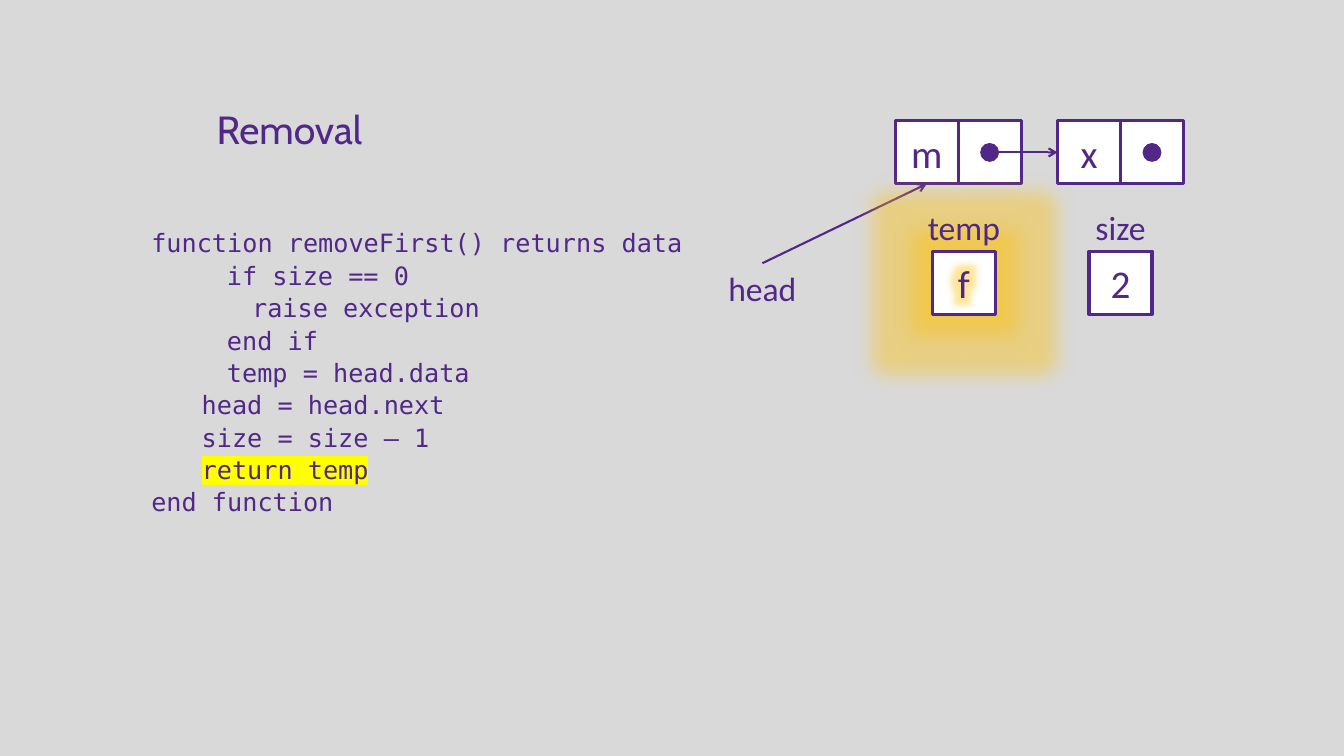
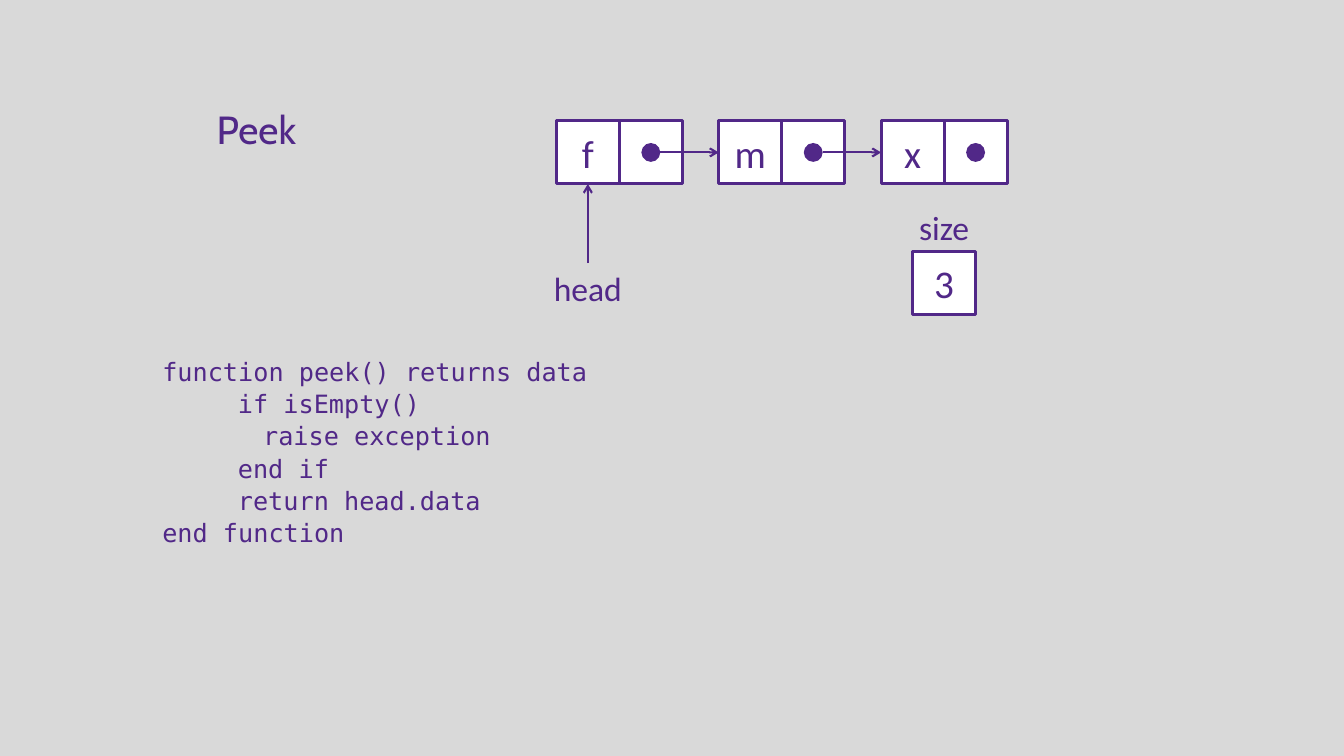
from lxml.etree import SubElement
from pptx import Presentation
from pptx.dml.color import RGBColor
from pptx.enum.shapes import MSO_CONNECTOR as Connector, MSO_SHAPE as Shape
from pptx.enum.text import MSO_ANCHOR as Anchor, MSO_AUTO_SIZE as AutoSize, PP_ALIGN as Align
from pptx.oxml.ns import qn
from pptx.util import Pt

# Shared style
INK, PAPER, WHITE, GOLD, MARKER = "512888", "D9D9D9", "FFFFFF", "FFC000", "FFFF00"
TITLE = {"name": "Cabin", "size": Pt(28)}
VALUE = {"name": "Calibri", "size": Pt(28)}
LABEL = {"name": "Calibri", "size": Pt(24)}
CODE = {"name": "DejaVu Sans Mono", "size": Pt(18)}

# Shared measures in points
CELL, DOT, NODE_GAP = 45, 13.5, 26
NODE_PITCH = 2 * CELL + NODE_GAP
LIST_TOP, LABEL_TOP, VARIABLE_TOP, HEAD_TOP = 86.4, 144, 179.4, 188
CODE_MARGIN, CODE_STEPS = 35.5, (0, 36, 54, 72)
GLOW = 28

REMOVE_CODE = [
    (0, "function removeFirst() returns data"),
    (2, "if size == 0"),
    (3, "raise exception"),
    (2, "end if"),
    (2, "temp = head.data"),
    (1, "head = head.next"),
    (1, "size = size – 1"),
    (1, "return temp"),
    (0, "end function"),
]
PEEK_CODE = [
    (0, "function peek() returns data"),
    (2, "if isEmpty()"),
    (3, "raise exception"),
    (2, "end if"),
    (2, "return head.data"),
    (0, "end function"),
]


def color(value):
    return RGBColor.from_string(value)


def points(*lengths):
    return [Pt(length) for length in lengths]


# Text
def write(para, text, style):
    span = para.add_run()
    span.text = text
    for key, value in style.items():
        setattr(span.font, key, value)
    span.font.color.rgb = color(INK)
    return span


def add_text(page, box, text, style, align=Align.LEFT, wrap=False):
    shape = page.shapes.add_textbox(*points(*box))
    frame = shape.text_frame
    frame.word_wrap = wrap
    frame.auto_size = AutoSize.SHAPE_TO_FIT_TEXT
    if text:
        frame.paragraphs[0].alignment = align
        write(frame.paragraphs[0], text, style)
    return shape


def highlight(span):
    mark = SubElement(span.font._element, qn("a:highlight"))
    SubElement(mark, qn("a:srgbClr"), val=MARKER)
    span.font._element.find(qn("a:latin")).addprevious(mark)


def add_code(page, box, lines, marked=None):
    frame = add_text(page, box, "", CODE, wrap=True).text_frame
    for number, (level, text) in enumerate(lines):
        para = frame.add_paragraph() if number else frame.paragraphs[0]
        para.line_spacing = 1.07
        margin = Pt(CODE_MARGIN + CODE_STEPS[level])
        para._p.get_or_add_pPr().set("marL", str(margin))
        span = write(para, text, CODE)
        if text == marked:
            highlight(span)


# Cells and arrows
def add_glow(effects):
    glow = SubElement(effects, qn("a:glow"), rad=str(Pt(GLOW)))
    tint = SubElement(glow, qn("a:srgbClr"), val=GOLD)
    SubElement(tint, qn("a:alpha"), val="40000")


def add_cell(shapes, left, top, text="", glowing=False):
    cell = shapes.add_shape(Shape.RECTANGLE, *points(left, top, CELL, CELL))
    cell.shadow.inherit = False
    cell.fill.solid()
    cell.fill.fore_color.rgb = color(WHITE)
    cell.line.color.rgb = color(INK)
    cell.line.width = Pt(2.25)
    cell.text_frame.vertical_anchor = Anchor.MIDDLE
    if text:
        para = cell.text_frame.paragraphs[0]
        para.alignment = Align.CENTER
        span = write(para, text, VALUE)
    if glowing:
        add_glow(cell._element.spPr.find(qn("a:effectLst")))
        text_effects = SubElement(span.font._element, qn("a:effectLst"))
        span.font._element.find(qn("a:latin")).addprevious(text_effects)
        add_glow(text_effects)
    return cell


def add_arrow(shapes, start, end):
    arrow = shapes.add_connector(Connector.STRAIGHT, *points(*start, *end))
    arrow.line.color.rgb = color(INK)
    arrow.line.width = Pt(1.5)
    SubElement(arrow.line._get_or_add_ln(), qn("a:tailEnd"), type="arrow")
    SubElement(arrow._element.spPr, qn("a:effectLst"))
    return arrow


# Linked list: a data cell and a pointer cell in each node
def add_node(page, left, top, text):
    group = page.shapes.add_group_shape()
    data = add_cell(group.shapes, left, top, text)
    add_cell(group.shapes, left + CELL, top)
    inset = (CELL - DOT) / 2
    dot = group.shapes.add_shape(
        Shape.OVAL, *points(left + CELL + inset, top + inset, DOT, DOT))
    dot.shadow.inherit = False
    dot.fill.solid()
    dot.fill.fore_color.rgb = color(INK)
    dot.line.fill.background()
    return group, data


def add_list(page, left, values):
    nodes = [add_node(page, left + i * NODE_PITCH, LIST_TOP, value)
             for i, value in enumerate(values)]
    middle = LIST_TOP + CELL / 2
    for i, ((group, _), (_, target)) in enumerate(zip(nodes, nodes[1:])):
        node_left = left + i * NODE_PITCH
        start = (node_left + (3 * CELL + DOT) / 2, middle)
        arrow = add_arrow(group.shapes, start, (node_left + NODE_PITCH, middle))
        arrow.end_connect(target, 1)
    return nodes[0][1]


def add_head(page, center, first_cell):
    width = 64
    label = add_text(page, (center - width / 2, HEAD_TOP, width, 36),
                     "head", LABEL, Align.CENTER)
    arrow = add_arrow(page.shapes, (center, HEAD_TOP), (center, LIST_TOP + CELL))
    arrow.begin_connect(label, 0)
    arrow.end_connect(first_cell, 2)


def add_variable(page, center, name, value, width, glowing=False):
    add_cell(page.shapes, center - CELL / 2, VARIABLE_TOP, value, glowing)
    add_text(page, (center - width / 2, LABEL_TOP, width, 36),
             name, LABEL, Align.CENTER)


# Slide
def add_list_slide(deck, title, title_width, list_left, values, head_center,
                   code_box, lines, marked=None):
    page = deck.slides.add_slide(deck.slide_layouts[6])
    add_text(page, (147.6, 72, title_width, 41), title, TITLE)
    add_code(page, code_box, lines, marked)
    add_head(page, head_center, add_list(page, list_left, values))
    last_center = list_left + (len(values) - 1) * NODE_PITCH + CELL
    add_variable(page, last_center, "size", str(len(values)), 50)
    return page


def main():
    deck = Presentation()
    deck.slide_width, deck.slide_height = points(960, 540)
    backdrop = deck.slide_master.background.fill
    backdrop.solid()
    backdrop.fore_color.rgb = color(PAPER)

    removal = add_list_slide(deck, "Removal", 123, 639.4, "mx", 544.6,
                             (65.5, 157.7, 480, 216), REMOVE_CODE, "return temp")
    add_variable(removal, 688.5, "temp", "f", 66, glowing=True)
    add_list_slide(deck, "Peek", 84, 397.4, "fmx", 419.9,
                   (73.4, 249.1, 421, 146), PEEK_CODE)
    deck.save("out.pptx")


if __name__ == "__main__":
    main()
